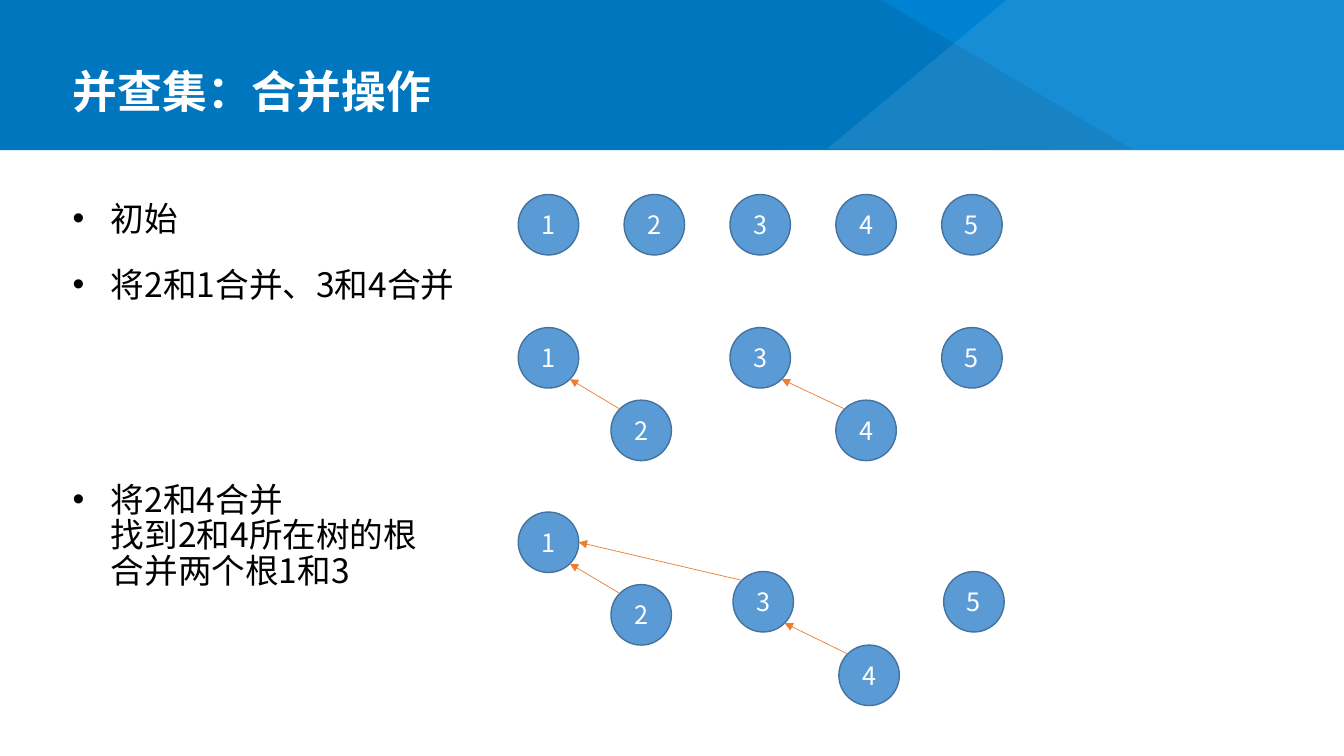
from math import sqrt

from lxml import etree
from pptx import Presentation
from pptx import util as u
from pptx.dml.color import RGBColor
from pptx.enum import shapes, text
from pptx.oxml.ns import qn

PX = 9144  # EMU per px, 100 px to the inch
FONT = "Noto Sans CJK SC"
BLUE = RGBColor(0x00, 0x82, 0xD3)
BLACK = RGBColor(0x00, 0x00, 0x00)
WHITE = RGBColor(0xFF, 0xFF, 0xFF)
NODE_FILL = RGBColor(0x5B, 0x9B, 0xD5)
NODE_LINE = RGBColor(0x43, 0x73, 0x9E)
ARROW = RGBColor(0xED, 0x7D, 0x31)

SLIDE_W, SLIDE_H, BAND_H = 1333, 750, 149
FACETS = [  # outline, tint
    ([(0, 0), (874, 0), (1123, 148), (0, BAND_H)], BLACK),
    ([(998, 0), (SLIDE_W, 0), (SLIDE_W, BAND_H), (820, 148)], WHITE),
]
TITLE = "并查集：合并操作"
STEPS = [  # text, level, space before in pt, line spacing
    ("初始", 0, 0, 1),
    ("将2和1合并、3和4合并", 0, 18.5, 1),
    ("将2和4合并", 0, 125, 1),
    ("找到2和4所在树的根", 1, 0, 0.88),
    ("合并两个根1和3", 1, 0, 0.88),
]
TITLE_BOX = (62, 62, 969, 62)
STEPS_BOX = (62, 191, 1207, 496)
INDENT = 38
NODE = 60
FORESTS = [  # node: (left, top), then links child -> parent with the side reached
    ({n: (514 + 105 * (n - 1), 193) for n in range(1, 6)}, []),
    ({1: (514, 325), 2: (606, 397), 3: (724, 325), 4: (829, 397), 5: (934, 325)},
     [(2, 1, "corner"), (4, 3, "corner")]),
    ({1: (514, 508), 2: (606, 580), 3: (727, 567), 4: (832, 640), 5: (936, 567)},
     [(2, 1, "corner"), (4, 3, "corner"), (3, 1, "right")]),
]


def px(*lengths):
    return [round(length * PX) for length in lengths]


def style(target, **values):
    for name, value in values.items():
        setattr(target, name, value)


def write(paragraph, words, size, color, bold=False):
    paragraph.text = words
    style(paragraph.font, name=FONT, size=u.Pt(size), bold=bold)
    paragraph.font.color.rgb = color
    for run in paragraph.runs:
        style(run.font, name=FONT)
        etree.SubElement(run.font._element, qn("a:ea"), typeface=FONT)


def paint(shape, fill, line=None):
    shape.shadow.inherit = False
    shape.fill.solid()
    shape.fill.fore_color.rgb = fill
    if line is None:
        shape.line.fill.background()
    else:
        shape.line.color.rgb = line
        shape.line.width = u.Pt(1)


def draw_band(slide):
    band = slide.shapes.add_shape(shapes.MSO_SHAPE.RECTANGLE, *px(0, 0, SLIDE_W, BAND_H))
    paint(band, BLUE)
    for outline, tint in FACETS:
        builder = slide.shapes.build_freeform(*outline[0], scale=PX)
        builder.add_line_segments(outline[1:])
        facet = builder.convert_to_shape()
        paint(facet, tint)
        color = facet.fill._xPr.find(qn("a:solidFill"))[0]
        etree.SubElement(color, qn("a:alpha"), val="9000")


def place(slide, holder, box, anchor):
    """Move a placeholder in front of the band and return its text frame."""
    left, top, width, height = px(*box)
    style(holder, left=left, top=top, width=width, height=height)
    slide.shapes._spTree.append(holder._element)
    frame = holder.text_frame
    style(frame, margin_left=px(10)[0], word_wrap=True, vertical_anchor=anchor,
          auto_size=text.MSO_AUTO_SIZE.NONE)
    return frame


def write_steps(frame):
    for i, (words, level, before, spacing) in enumerate(STEPS):
        step = frame.paragraphs[0] if i == 0 else frame.add_paragraph()
        style(step, level=level, space_before=u.Pt(before), space_after=u.Pt(0),
              line_spacing=spacing, alignment=text.PP_ALIGN.LEFT)
        props = step._p.get_or_add_pPr()
        props.set("marL", str(INDENT * PX))
        props.set("indent", str(0 if level else -INDENT * PX))
        if level:
            etree.SubElement(props, qn("a:buNone"))
        else:
            etree.SubElement(props, qn("a:buFont"), typeface="Arial")
            etree.SubElement(props, qn("a:buChar"), char="•")
        write(step, words, 24, BLACK)


def draw_node(slide, number, corner):
    node = slide.shapes.add_shape(shapes.MSO_SHAPE.OVAL, *px(*corner, NODE, NODE))
    paint(node, NODE_FILL, NODE_LINE)
    frame = node.text_frame
    style(frame, margin_left=0, margin_right=0, margin_top=0, margin_bottom=0,
          vertical_anchor=text.MSO_ANCHOR.MIDDLE)
    frame.paragraphs[0].alignment = text.PP_ALIGN.CENTER
    write(frame.paragraphs[0], str(number), 18, WHITE)


def draw_link(slide, child, parent, side):
    """Point an arrow from the child's upper left rim to the parent's rim."""
    radius = NODE / 2
    reach = radius / sqrt(2)
    start = [edge + radius - reach for edge in child]
    dx, dy = (radius, 0) if side == "right" else (reach, reach)
    end = (parent[0] + radius + dx, parent[1] + radius + dy)
    link = slide.shapes.add_connector(shapes.MSO_CONNECTOR.STRAIGHT, *px(*start, *end))
    link.line.color.rgb = ARROW
    link.line.width = u.Pt(0.5)
    etree.SubElement(link.line._get_or_add_ln(), qn("a:tailEnd"), type="triangle")
    etree.SubElement(link._element.spPr, qn("a:effectLst"))


def main():
    prs = Presentation()
    prs.slide_width, prs.slide_height = px(SLIDE_W, SLIDE_H)
    slide = prs.slides.add_slide(prs.slide_layouts[1])
    title, steps = slide.placeholders
    draw_band(slide)

    heading = place(slide, title, TITLE_BOX, text.MSO_ANCHOR.MIDDLE).paragraphs[0]
    style(heading, alignment=text.PP_ALIGN.LEFT, line_spacing=0.9)
    write(heading, TITLE, 32, WHITE, bold=True)
    write_steps(place(slide, steps, STEPS_BOX, text.MSO_ANCHOR.TOP))

    for nodes, links in FORESTS:
        for number, corner in nodes.items():
            draw_node(slide, number, corner)
        for child, parent, side in links:
            draw_link(slide, nodes[child], nodes[parent], side)
    prs.save("out.pptx")


if __name__ == "__main__":
    main()
